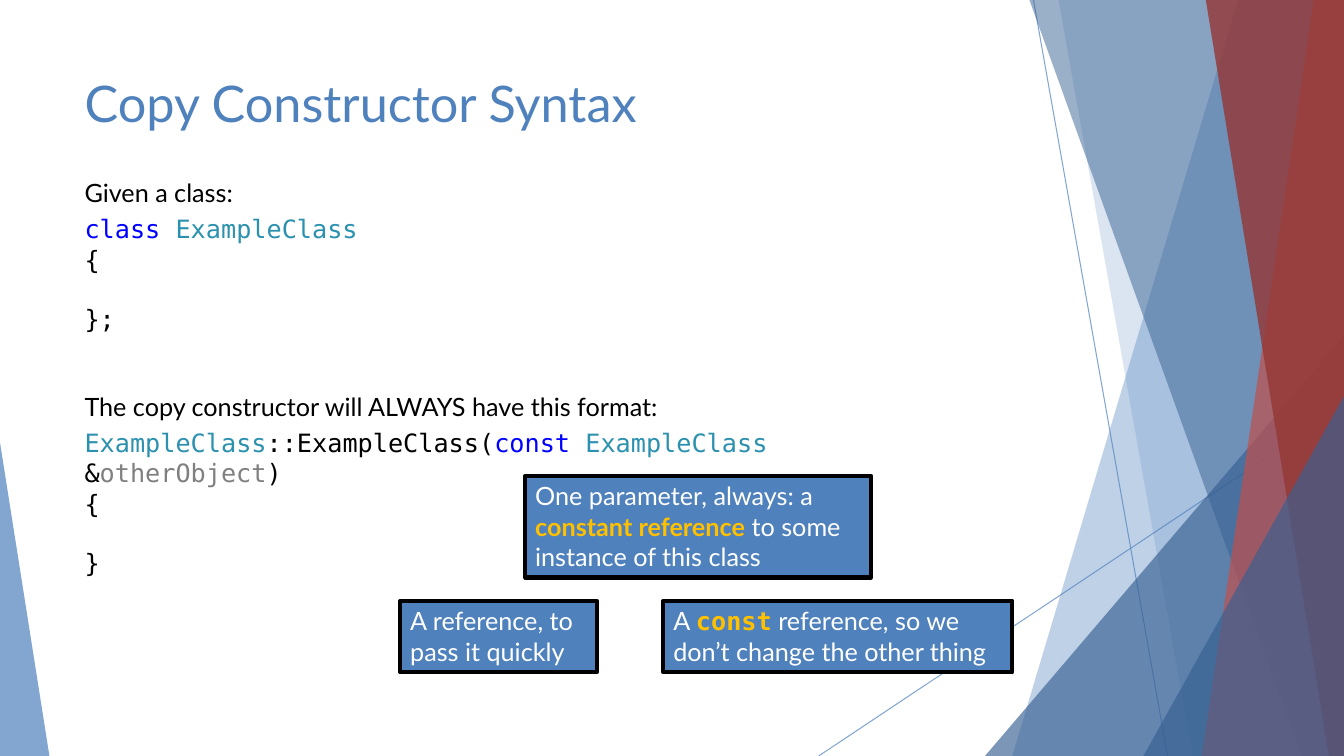
from lxml import etree
from pptx import Presentation
from pptx.dml.color import RGBColor
from pptx.enum.shapes import MSO_CONNECTOR, MSO_SHAPE
from pptx.enum.text import MSO_ANCHOR, MSO_AUTO_SIZE, PP_ALIGN
from pptx.oxml.ns import qn
from pptx.util import Pt

STRAIGHT = MSO_CONNECTOR.STRAIGHT
RECT, TRIANGLE = MSO_SHAPE.RECTANGLE, MSO_SHAPE.ISOSCELES_TRIANGLE
TOP, LEFT, FIXED = MSO_ANCHOR.TOP, PP_ALIGN.LEFT, MSO_AUTO_SIZE.NONE
SCALE = 9144
WIDE, HIGH = 1333, 750
SANS, MONO = "Lato", "DejaVu Sans Mono"
BLUE, NAVY, RED, WINE = "4F81BD", "376092", "C0504D", "953735"
BLACK, WHITE, GOLD = "000000", "FFFFFF", "FFC000"
WORD, TYPE, NAME = "0000FF", "2B91AF", "808080"


def color(code):
    return RGBColor.from_string(code)


def px(*sizes):
    return [size * SCALE for size in sizes]


def assign(item, values):
    for key, value in values.items():
        setattr(item, key, value)


class Deck:
    """Draws styled elements on the current slide."""

    def __init__(self):
        self.prs = Presentation()
        self.prs.slide_width, self.prs.slide_height = px(WIDE, HIGH)
        self.slide = self.prs.slides.add_slide(self.prs.slide_layouts[5])
        self.shapes = self.slide.shapes
        self.frame = {"word_wrap": True, "auto_size": FIXED, "vertical_anchor": TOP}
        self.font = {"name": SANS, "size": Pt(18), "bold": False}

    def fade(self, fill, percent):
        tint = fill.find(".//" + qn("a:srgbClr"))
        etree.SubElement(tint, qn("a:alpha")).set("val", str(percent * 1000))

    def paint(self, shape, code, percent):
        shape.shadow.inherit = False
        shape.fill.solid()
        shape.fill.fore_color.rgb = color(code)
        shape.line.fill.background()
        self.fade(shape._element.spPr.find(qn("a:solidFill")), percent)

    def line(self, *ends):
        line = self.shapes.add_connector(STRAIGHT, *px(*ends))
        line.line.width = Pt(0.75)
        line.line.color.rgb = color(BLUE)
        props = line._element.spPr
        self.fade(props.find(qn("a:ln")), 70)
        etree.SubElement(props, qn("a:effectLst"))

    def band(self, top, right, left, code, percent):
        pen = self.shapes.build_freeform(top, 0, scale=SCALE)
        pen.add_line_segments([(WIDE, 0), (right, HIGH), (left, HIGH)])
        self.paint(pen.convert_to_shape(), code, percent)

    def wedge(self, left, top, wide, peak, code, percent):
        shape = self.shapes.add_shape(TRIANGLE, *px(left, top, wide, HIGH - top))
        shape.adjustments[0] = peak
        self.paint(shape, code, percent)

    def fill_text(self, shape, lines, gap=0, **style):
        assign(shape.text_frame, self.frame)
        for spot, runs in enumerate(lines):
            if spot:
                para = shape.text_frame.add_paragraph()
            else:
                para = shape.text_frame.paragraphs[0]
            para.alignment = LEFT
            if gap and spot == len(lines) - 1:
                para.space_before = Pt(gap)
            for text, code, *extra in runs:
                run = para.add_run()
                run.text = text
                run.font.color.rgb = color(code)
                assign(run.font, {**self.font, **style, **(extra[0] if extra else {})})

    def title(self, text, *area):
        shape = self.shapes.title
        assign(shape, dict(zip(("left", "top", "width", "height"), px(*area))))
        self.fill_text(shape, [[(text, BLUE)]], size=Pt(36))

    def text(self, text, *area):
        self.fill_text(self.shapes.add_textbox(*px(*area)), [[(text, BLACK)]])

    def code(self, lines, *area):
        self.fill_text(self.shapes.add_textbox(*px(*area)), lines, gap=21, name=MONO)

    def note(self, runs, *area):
        shape = self.shapes.add_shape(RECT, *px(*area))
        self.paint(shape, BLUE, 100)
        shape.line.color.rgb = color(BLACK)
        shape.line.width = Pt(3)
        self.fill_text(shape, [runs])


def main():
    deck = Deck()
    deck.line(1025, 0, 1158, HIGH)
    deck.line(WIDE, 403, 812, HIGH)
    deck.band(1228, WIDE, 1004, BLUE, 36)
    deck.band(1050, WIDE, 1183, BLUE, 20)
    deck.wedge(977, 333, 356, 1, NAVY, 66)
    deck.band(1021, WIDE, 1291, NAVY, 50)
    deck.band(1303, WIDE, 1192, RED, 70)
    deck.band(1196, WIDE, 1318, WINE, 80)
    deck.wedge(1134, 393, 199, 1, NAVY, 66)
    deck.wedge(0, 439, 49, 0, BLUE, 70)

    deck.title("Copy Constructor Syntax", 74, 67, 940, 79)
    deck.text("Given a class:", 74, 171, 667, 40)
    deck.code([
        [("class ", WORD), ("ExampleClass", TYPE)],
        [("{", BLACK)],
        [("};", BLACK)],
    ], 74, 207, 894, 131)
    deck.code([
        [("ExampleClass", TYPE), ("::ExampleClass(", BLACK), ("const ", WORD),
         ("ExampleClass", TYPE), (" &", BLACK), ("otherObject", NAME), (")", BLACK)],
        [("{", BLACK)],
        [("}", BLACK)],
    ], 74, 419, 894, 131)
    deck.text("The copy constructor will ALWAYS have this format:", 74, 383, 667, 40)

    deck.note([
        ("One parameter, always: a ", WHITE),
        ("constant reference", GOLD, {"bold": True}),
        (" to some instance of this class", WHITE),
    ], 521, 472, 343, 101)
    deck.note([("A reference, to pass it quickly", WHITE)], 397, 596, 195, 71)
    deck.note([
        ("A ", WHITE),
        ("const", GOLD, {"name": MONO, "bold": True}),
        (" reference, so we don’t change the other thing", WHITE),
    ], 658, 596, 346, 71)
    deck.prs.save("out.pptx")


if __name__ == "__main__":
    main()
